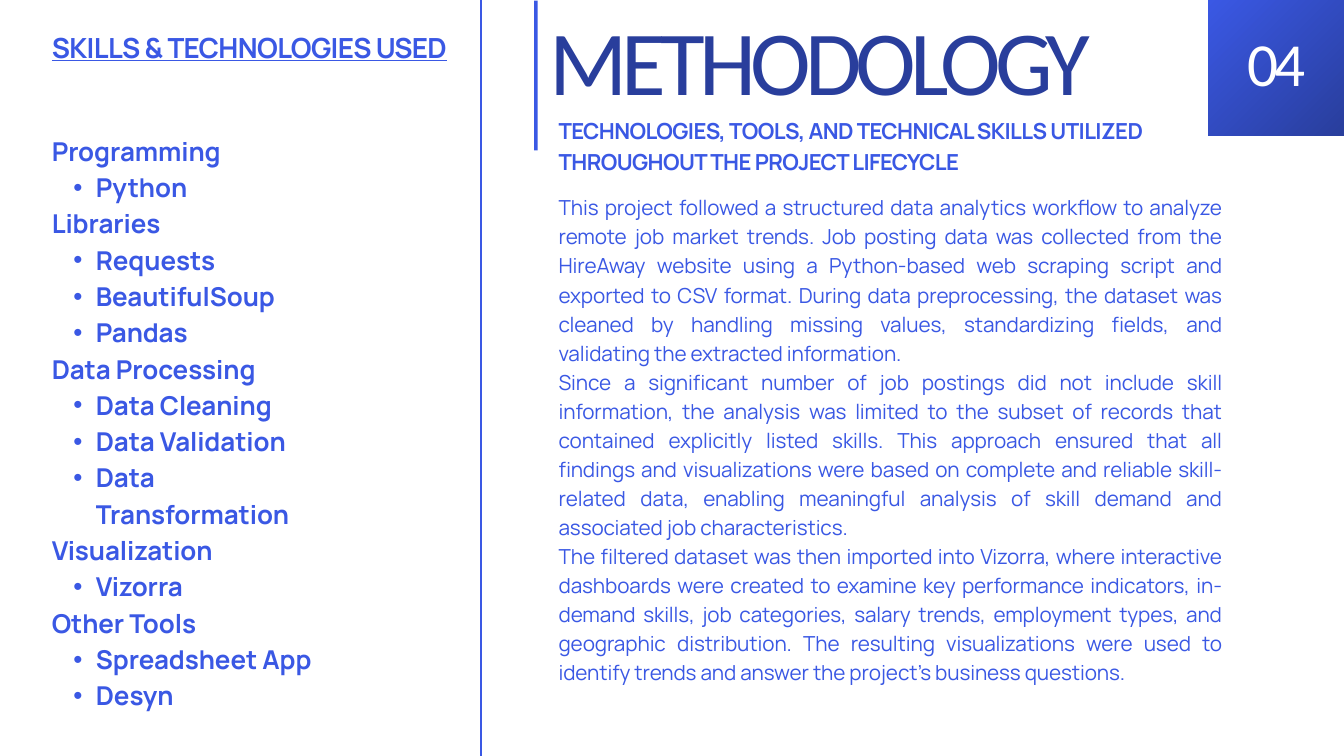
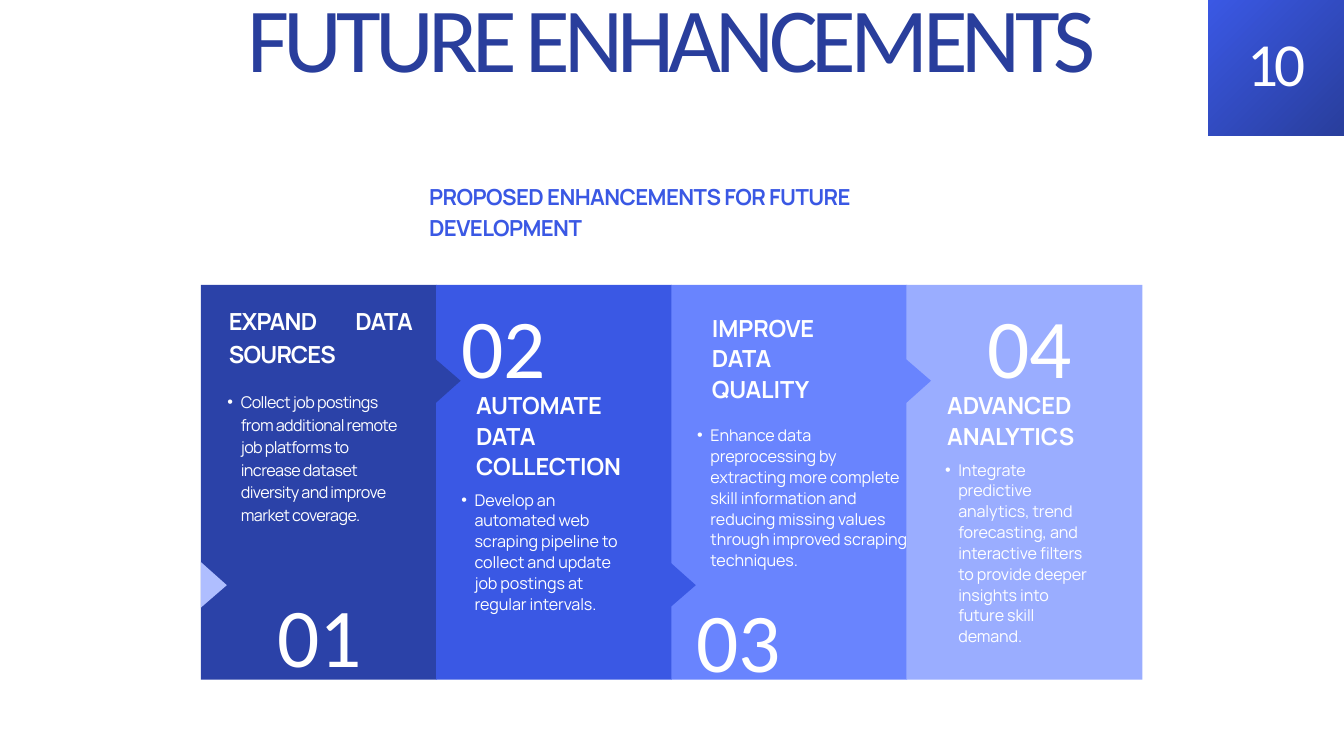
from dataclasses import dataclass, replace

from lxml import etree
from pptx import Presentation
from pptx.dml.color import RGBColor
from pptx.enum.shapes import MSO_CONNECTOR, MSO_SHAPE
from pptx.enum.text import MSO_AUTO_SIZE, PP_ALIGN
from pptx.oxml.ns import qn
from pptx.util import Emu, Pt

PX = 9525
PAGE_WIDTH, PAGE_HEIGHT = 1920, 1080
BLANK = 6
LEFT, CENTER, JUSTIFY = PP_ALIGN.LEFT, PP_ALIGN.CENTER, PP_ALIGN.JUSTIFY
RECTANGLE, STRAIGHT = MSO_SHAPE.RECTANGLE, MSO_CONNECTOR.STRAIGHT
GROW = MSO_AUTO_SIZE.SHAPE_TO_FIT_TEXT

BLUE = RGBColor(0x3A, 0x58, 0xE4)
NAVY = RGBColor(0x29, 0x3E, 0x9C)
DEEP = RGBColor(0x2B, 0x42, 0xA8)
SKY = RGBColor(0x69, 0x84, 0xFE)
MIST = RGBColor(0x9A, 0xAD, 0xFF)
PALE = RGBColor(0xAF, 0xBE, 0xFF)
WHITE = RGBColor(0xFF, 0xFF, 0xFF)


@dataclass(frozen=True)
class Style:
    font: str
    size: float
    color: RGBColor
    leading: float
    spacing: float
    align: PP_ALIGN = LEFT
    bold: bool = False
    underline: bool = False
    margin: int = 0
    hanging: int = 0


TITLE = Style("Calibri", 98, NAVY, 96, -6.3)
SUBTITLE = Style("Manrope", 23.7, BLUE, 33.2, -0.6, bold=True)
BADGE = Style("Calibri", 65.6, WHITE, 64.2, -4.2, CENTER)
BODY = Style("Manrope", 22.2, BLUE, 31.1, -0.1, JUSTIFY)
SKILLS_TITLE = Style("Manrope", 29.7, BLUE, 41.6, -0.7, bold=True, underline=True)
SKILL_GROUP = Style("Manrope", 27.8, BLUE, 38.9, -0.1, JUSTIFY, bold=True)
SKILL = replace(SKILL_GROUP, margin=63, hanging=32)
PANEL_TITLE = Style("Manrope", 25.2, WHITE, 32.6, -0.1, JUSTIFY, bold=True)
PANEL_TEXT = Style("Manrope", 17.3, WHITE, 22.3, -0.1, margin=39, hanging=19)
PANEL_NUMBER = Style("Calibri", 89.5, WHITE, 115.5, -0.3, JUSTIFY)

METHOD = [
    "This project followed a structured data analytics workflow to analyze remote job market trends. "
    "Job posting data was collected from the HireAway website using a Python-based web scraping script "
    "and exported to CSV format. During data preprocessing, the dataset was cleaned by handling missing "
    "values, standardizing fields, and validating the extracted information.",
    "Since a significant number of job postings did not include skill information, the analysis was "
    "limited to the subset of records that contained explicitly listed skills. This approach ensured "
    "that all findings and visualizations were based on complete and reliable skill-related data, "
    "enabling meaningful analysis of skill demand and associated job characteristics.",
    "The filtered dataset was then imported into Vizorra, where interactive dashboards were created to "
    "examine key performance indicators, in-demand skills, job categories, salary trends, employment "
    "types, and geographic distribution. The resulting visualizations were used to identify trends and "
    "answer the project's business questions.",
]

SKILLS = {
    "Programming": ["Python"],
    "Libraries": ["Requests", "BeautifulSoup", "Pandas"],
    "Data Processing": ["Data Cleaning", "Data Validation", "Data Transformation"],
    "Visualization": ["Vizorra"],
    "Other Tools": ["Spreadsheet App", "Desyn"],
}

PANEL_LEFT, PANEL_TOP = 287, 407
PANEL_STEP, PANEL_WIDTH, PANEL_HEIGHT = 336, 337, 564
PANEL_COLORS = [DEEP, BLUE, SKY, MIST]
NOTCH_COLORS = [PALE, DEEP, BLUE, SKY]
NOTCH_TOPS = [803, 512]
NOTCH_WIDTH, NOTCH_HEIGHT = 37, 65


@dataclass(frozen=True)
class Enhancement:
    title: str
    title_at: tuple
    text: str
    text_at: tuple
    number_at: tuple
    title_style: Style = PANEL_TITLE
    text_style: Style = PANEL_TEXT


ENHANCEMENTS = [
    Enhancement(
        "EXPAND DATA SOURCES", (327, 432, 262, 95),
        "Collect job postings from additional remote job platforms to increase dataset diversity "
        "and improve market coverage.", (305, 556, 266, 256),
        (397, 824, 152, 149),
        replace(PANEL_TITLE, leading=35.4, spacing=-0.8),
        replace(PANEL_TEXT, leading=24.2, spacing=-0.6)),
    Enhancement(
        "AUTOMATE DATA COLLECTION", (680, 556, 225, 217),
        "Develop an automated web scraping pipeline to collect and update job postings at regular "
        "intervals.", (639, 698, 262, 204),
        (659, 411, 166, 149)),
    Enhancement(
        "IMPROVE DATA QUALITY", (1017, 445, 225, 131),
        "Enhance data preprocessing by extracting more complete skill information and reducing "
        "missing values through improved scraping techniques.", (976, 606, 328, 233),
        (995, 830, 180, 149)),
    Enhancement(
        "ADVANCED ANALYTICS", (1353, 556, 225, 88),
        "Integrate predictive analytics, trend forecasting, and interactive filters to provide "
        "deeper insights into future skill demand.", (1330, 655, 225, 291),
        (1411, 411, 166, 149)),
]


def px(*lengths):
    return [Emu(length * PX) for length in lengths]


def add_bullet(para, style):
    props = para._p.get_or_add_pPr()
    margin, hanging = px(style.margin, style.hanging)
    props.set("marL", str(margin))
    props.set("indent", str(-hanging))
    etree.SubElement(props, qn("a:buFont")).set("typeface", "Arial")
    etree.SubElement(props, qn("a:buChar")).set("char", "•")
    para.level = 1


def add_text(page, at, lines):
    box = page.shapes.add_textbox(*px(*at))
    frame = box.text_frame
    frame.word_wrap = True
    frame.auto_size = GROW
    frame.margin_left = frame.margin_top = frame.margin_right = frame.margin_bottom = 0
    for index, (text, style) in enumerate(lines):
        para = frame.add_paragraph() if index else frame.paragraphs[0]
        if style.margin:
            add_bullet(para, style)
        para.alignment = style.align
        para.line_spacing = Pt(style.leading)
        span = para.add_run()
        span.text = text
        font = span.font
        font.name, font.size = style.font, Pt(style.size)
        font.bold, font.underline = style.bold, style.underline
        font.color.rgb = style.color
        span._r.get_or_add_rPr().set("spc", str(round(style.spacing * 100)))


def paint(shape, color):
    shape.shadow.inherit = False
    shape.line.fill.background()
    shape.fill.solid()
    shape.fill.fore_color.rgb = color


def add_block(page, at, color):
    block = page.shapes.add_shape(RECTANGLE, *px(*at))
    paint(block, color)
    return block


def add_notch(page, left, top, color):
    outline = page.shapes.build_freeform(left, top, scale=PX)
    outline.add_line_segments(
        [(left + NOTCH_WIDTH, top + NOTCH_HEIGHT / 2), (left, top + NOTCH_HEIGHT)])
    paint(outline.convert_to_shape(), color)


def add_divider(page, x):
    divider = page.shapes.add_connector(STRAIGHT, *px(x, 0, x, PAGE_HEIGHT))
    divider.line.color.rgb = BLUE
    divider.line.width = Pt(1.5)
    etree.SubElement(divider._element.spPr, qn("a:effectLst"))


def add_badge(page, number):
    badge = add_block(page, (1726, 0, 194, 194), BLUE)
    badge.fill.gradient()
    for stop, color in zip(badge.fill.gradient_stops, (BLUE, NAVY)):
        stop.color.rgb = color
    gradient = badge._element.spPr.find(qn("a:gradFill"))
    gradient.remove(gradient.find(qn("a:lin")))
    radial = etree.Element(qn("a:path"), path="circle")
    etree.SubElement(radial, qn("a:fillToRect"), r="100000", b="100000")
    gradient.find(qn("a:gsLst")).addnext(radial)
    add_text(page, (1751, 55, 144, 94), [(number, BADGE)])


def add_page(deck, number):
    page = deck.slides.add_slide(deck.slide_layouts[BLANK])
    add_badge(page, number)
    return page


def build_methodology(deck):
    page = add_page(deck, "04")
    add_block(page, (763, 1, 5, 214), BLUE)
    add_divider(page, 687)
    add_text(page, (785, 35, 924, 135), [("METHODOLOGY", TITLE)])
    subtitle = "TECHNOLOGIES, TOOLS, AND TECHNICAL SKILLS UTILIZED THROUGHOUT THE PROJECT LIFECYCLE"
    add_text(page, (798, 161, 927, 89), [(subtitle, SUBTITLE)])
    add_text(page, (798, 273, 948, 821), [(text, BODY) for text in METHOD])
    add_text(page, (74, 36, 927, 55), [("SKILLS & TECHNOLOGIES USED", SKILLS_TITLE)])
    lines = []
    for group, skills in SKILLS.items():
        lines.append((group, SKILL_GROUP))
        lines += [(skill, SKILL) for skill in skills]
    add_text(page, (74, 186, 411, 862), lines)


def build_enhancements(deck):
    page = add_page(deck, "10")
    add_text(page, (613, 256, 740, 89),
             [("PROPOSED ENHANCEMENTS FOR FUTURE DEVELOPMENT", SUBTITLE)])
    add_text(page, (353, 1, 1213, 264),
             [("FUTURE ENHANCEMENTS", replace(TITLE, align=CENTER))])
    lefts = [PANEL_LEFT + index * PANEL_STEP for index in range(len(ENHANCEMENTS))]
    for left, color in zip(lefts, PANEL_COLORS):
        add_block(page, (left, PANEL_TOP, PANEL_WIDTH, PANEL_HEIGHT), color)
    for index, (left, color) in enumerate(zip(lefts, NOTCH_COLORS)):
        overlap = 2 if index else 0
        add_notch(page, left - overlap, NOTCH_TOPS[index % 2], color)
    for number, item in enumerate(ENHANCEMENTS, 1):
        add_text(page, item.title_at, [(item.title, item.title_style)])
        add_text(page, item.text_at, [(item.text, item.text_style)])
        add_text(page, item.number_at, [(f"{number:02}", PANEL_NUMBER)])


def main():
    deck = Presentation()
    deck.slide_width, deck.slide_height = px(PAGE_WIDTH, PAGE_HEIGHT)
    build_methodology(deck)
    build_enhancements(deck)
    deck.save("out.pptx")


if __name__ == "__main__":
    main()
